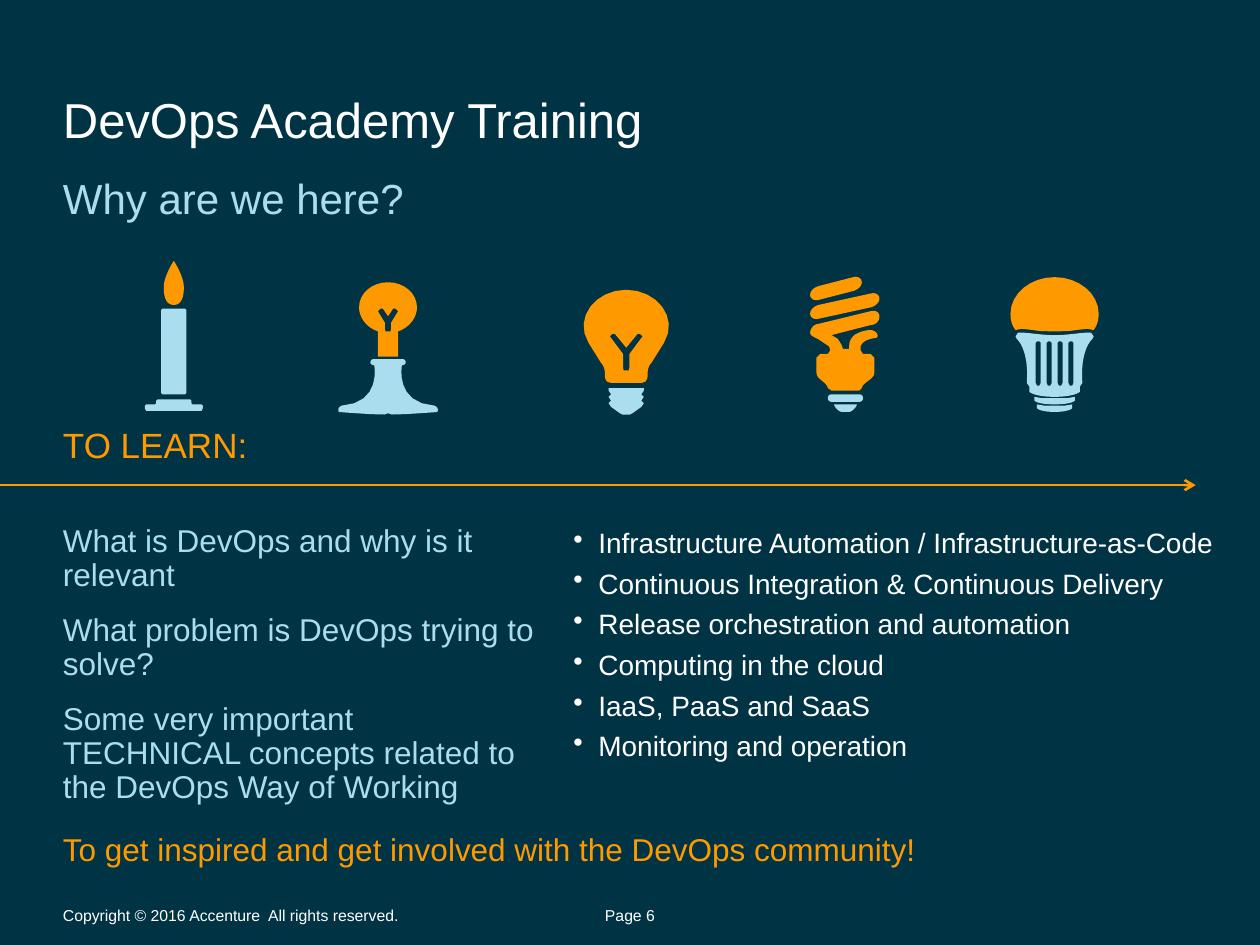
from lxml import etree
from pptx import Presentation
from pptx.dml.color import RGBColor
from pptx.enum.shapes import MSO_CONNECTOR
from pptx.enum.text import MSO_ANCHOR, PP_ALIGN
from pptx.oxml.ns import qn
from pptx.util import Inches, Pt

TOP, MIDDLE, BOTTOM = MSO_ANCHOR.TOP, MSO_ANCHOR.MIDDLE, MSO_ANCHOR.BOTTOM
LEFT, CENTER = PP_ALIGN.LEFT, PP_ALIGN.CENTER
STRAIGHT = MSO_CONNECTOR.STRAIGHT
NAVY, WHITE, SKY, ORANGE = "003344", "FFFFFF", "AADDEE", "FF9900"
CURVE_STEPS = 8

QUESTIONS = [
    "What is DevOps and why is it relevant",
    "What problem is DevOps trying to solve?",
    "Some very important \vTECHNICAL concepts related to the DevOps Way of Working",
]
TOPICS = [
    "Infrastructure Automation / Infrastructure-as-Code",
    "Continuous Integration & Continuous Delivery",
    "Release orchestration and automation",
    "Computing in the cloud",
    "IaaS, PaaS and SaaS",
    "Monitoring and operation",
]


def rgb(color):
    return RGBColor.from_string(color)


def add_bullet(para):
    properties = para._p.get_or_add_pPr()
    properties.set("marL", str(Inches(0.2)))
    properties.set("indent", str(-Inches(0.2)))
    etree.SubElement(properties, qn("a:buChar")).set("char", "•")


def add_text(slide, place, lines, size, color, anchor=TOP, align=LEFT,
             inset=0, spacing=1, after=0, bullet=False):
    box = slide.shapes.add_textbox(*map(Inches, place))
    frame = box.text_frame
    frame.word_wrap = True
    frame.vertical_anchor = anchor
    frame.margin_left = frame.margin_right = 0
    frame.margin_top = frame.margin_bottom = Inches(inset)
    for index, line in enumerate(lines):
        para = frame.add_paragraph() if index else frame.paragraphs[0]
        para.text = line
        if bullet:
            add_bullet(para)
        para.alignment = align
        para.line_spacing = spacing
        para.space_after = Pt(after)
        para.font.name = "Arial"
        para.font.size = Pt(size)
        para.font.color.rgb = rgb(color)


def add_arrow(slide, left, right, y):
    arrow = slide.shapes.add_connector(
        STRAIGHT, Inches(left), Inches(y), Inches(right), Inches(y))
    arrow.line.color.rgb = rgb(ORANGE)
    arrow.line.width = Pt(1.5)
    etree.SubElement(arrow.line._get_or_add_ln(), qn("a:tailEnd")).set("type", "arrow")
    etree.SubElement(arrow._element.spPr, qn("a:effectLst"))


def trace(segments):
    """Turn (x, y) lines and six-number Bezier segments into points."""
    points = []
    for segment in segments:
        if len(segment) == 2:
            points.append(segment)
            continue
        x0, y0 = points[-1]
        x1, y1, x2, y2, x3, y3 = segment
        for step in range(1, CURVE_STEPS + 1):
            t = step / CURVE_STEPS
            a, b, c, d = (1 - t) ** 3, 3 * t * (1 - t) ** 2, 3 * t * t * (1 - t), t ** 3
            points.append((a * x0 + b * x1 + c * x2 + d * x3,
                           a * y0 + b * y1 + c * y2 + d * y3))
    return points


def mirrored(center, right_half):
    """Close a right half, given as offsets from the center line."""
    half = trace(right_half)
    return ([(center + x, y) for x, y in half]
            + [(center - x, y) for x, y in reversed(half)])


def add_outline(group, color, outline, *holes):
    builder = None
    for contour in (outline, *holes):
        points = [(Inches(x), Inches(y)) for x, y in contour]
        if builder is None:
            builder = group.shapes.build_freeform(*points[0], scale=1.0)
        else:
            builder.move_to(*points[0])
        builder.add_line_segments(points[1:], close=True)
    shape = builder.convert_to_shape()
    shape.shadow.inherit = False
    shape.fill.solid()
    shape.fill.fore_color.rgb = rgb(color)
    shape.line.fill.background()


def filament(center, top, joint, bottom, reach):
    """Y-shaped hole in a glass bulb."""
    return mirrored(center, [
        (0, joint - 0.05), (reach - 0.04, top), (reach - 0.02, top), (reach, top + 0.02),
        (0.025, joint), (0.025, bottom - 0.02), (0.02, bottom), (0, bottom)])


def slot(left):
    return mirrored(left + 0.02, [
        (0, 2.71), (0.01, 2.71), (0.02, 2.72), (0.02, 3.04), (0.01, 3.06), (0, 3.06)])


def coil(right, right_bottom, left_bottom):
    """Slanted tube with round ends."""
    a, b = right_bottom, left_bottom
    return trace([
        (6.5, b), (right, a),
        (right + 0.04, a - 0.01, right + 0.07, a - 0.04, right + 0.07, a - 0.07),
        (right + 0.07, a - 0.1, right + 0.04, a - 0.12, right, a - 0.11),
        (6.5, b - 0.11), (6.46, b - 0.1, 6.43, b - 0.07, 6.43, b - 0.04),
        (6.43, b - 0.01, 6.46, b + 0.01, 6.5, b)])


def led_ring(center, top, reach):
    return mirrored(center, [
        (0, top + 0.01), (reach - 0.06, top + 0.01), (reach, top), (reach, top + 0.03),
        (reach, top + 0.03, reach - 0.02, top + 0.06, 0, top + 0.06)])


def draw_candle(group, center):
    add_outline(group, SKY, mirrored(center, [
        (0, 2.45), (0.09, 2.45), (0.1, 2.46), (0.1, 3.12), (0.09, 3.13), (0, 3.13)]))
    add_outline(group, SKY, mirrored(center, [
        (0, 3.17), (0.13, 3.17), (0.14, 3.18), (0.14, 3.2), (0.15, 3.21), (0.22, 3.21),
        (0.23, 3.22), (0.23, 3.24), (0.22, 3.26), (0, 3.26)]))
    add_outline(group, ORANGE, mirrored(center, [
        (0, 2.07), (0, 2.07, 0.08, 2.19, 0.08, 2.28), (0.08, 2.38, 0.05, 2.42, 0, 2.42)]))


def draw_lamp(group, center):
    add_outline(group, SKY, mirrored(center, [
        (0, 2.85), (0.11, 2.85), (0.13, 2.85, 0.14, 2.86, 0.14, 2.88),
        (0.14, 2.89, 0.12, 2.9, 0.11, 2.9), (0.11, 2.9, 0.05, 3.2, 0.37, 3.22),
        (0.41, 3.24, 0.39, 3.27, 0.39, 3.27), (0.39, 3.27, 0.15, 3.29, 0.03, 3.29),
        (0, 3.28)]))
    add_outline(group, ORANGE, mirrored(center, [
        (0, 2.24), (0.13, 2.24, 0.23, 2.33, 0.23, 2.44),
        (0.23, 2.52, 0.17, 2.6, 0.08, 2.63), (0.08, 2.83), (0, 2.83)]),
        filament(center, 2.45, 2.56, 2.63, 0.08))


def draw_bulb(group, center):
    add_outline(group, SKY, mirrored(center, [
        (0, 3.08), (0.14, 3.08), (0.14, 3.1), (0.12, 3.13), (0.14, 3.15), (0.12, 3.18),
        (0.14, 3.2), (0.12, 3.23), (0.05, 3.28), (0.03, 3.29), (0, 3.29)]))
    add_outline(group, ORANGE, mirrored(center, [
        (0, 2.3), (0.24, 2.3, 0.42, 2.52, 0.3, 2.72), (0.2, 2.88),
        (0.18, 2.9, 0.17, 2.93, 0.17, 2.96), (0.17, 2.99, 0.17, 3.01, 0.15, 3.03),
        (0.12, 3.04), (0, 3.04)]), filament(center, 2.65, 2.81, 2.94, 0.13))


def draw_spiral(group, center):
    add_outline(group, SKY, mirrored(center, [
        (0, 3.21), (0.09, 3.21), (0.09, 3.23, 0.05, 3.27, 0.03, 3.27), (0, 3.27)]))
    add_outline(group, SKY, mirrored(center, [
        (0, 3.13), (0.11, 3.13), (0.15, 3.13, 0.15, 3.19, 0.11, 3.19), (0, 3.19)]))
    add_outline(group, ORANGE, coil(6.77, 2.31, 2.38))
    add_outline(group, ORANGE, trace([
        (6.98, 2.51), (6.98, 2.48, 6.95, 2.46, 6.91, 2.47), (6.5, 2.57),
        (6.46, 2.57, 6.43, 2.61, 6.43, 2.64), (6.43, 2.66, 6.45, 2.67, 6.47, 2.68),
        (6.49, 2.69), (6.55, 2.73), (6.58, 2.75), (6.59, 2.78), (6.57, 2.81), (6.51, 2.81),
        (6.48, 2.84), (6.48, 2.96), (6.48, 3.01, 6.57, 3.04, 6.57, 3.08), (6.6, 3.1),
        (6.82, 3.1), (6.84, 3.08), (6.84, 3.04, 6.94, 3.01, 6.94, 2.96), (6.94, 2.84),
        (6.91, 2.81), (6.85, 2.81), (6.83, 2.78), (6.83, 2.75),
        (6.84, 2.72, 6.87, 2.7, 6.91, 2.69), (6.96, 2.68),
        (6.98, 2.65, 6.94, 2.62, 6.91, 2.62), (6.86, 2.62, 6.81, 2.64, 6.78, 2.66),
        (6.74, 2.7, 6.74, 2.72, 6.74, 2.77), (6.69, 2.77), (6.68, 2.74),
        (6.65, 2.69), (6.6, 2.66), (6.91, 2.58), (6.95, 2.58, 6.98, 2.55, 6.98, 2.51)]))
    add_outline(group, ORANGE, coil(6.91, 2.44, 2.53))


def draw_led(group, center):
    add_outline(group, ORANGE, mirrored(center, [
        (0, 2.2), (0.19, 2.2, 0.35, 2.33, 0.35, 2.49), (0.35, 2.54, 0.34, 2.58, 0.31, 2.62),
        (0.26, 2.61), (0.17, 2.62), (0.12, 2.63, 0.06, 2.63, 0, 2.63)]))
    add_outline(group, SKY, led_ring(center, 3.15, 0.16))
    add_outline(group, SKY, led_ring(center, 3.21, 0.14))
    add_outline(group, SKY, mirrored(center, [
        (0, 2.66), (0.11, 2.66, 0.2, 2.64, 0.26, 2.64), (0.29, 2.64), (0.31, 2.67),
        (0.3, 2.69), (0.3, 2.69, 0.2, 2.77, 0.22, 3.04), (0.2, 3.07), (0.2, 3.11),
        (0.2, 3.11, 0.16, 3.15, 0, 3.15)]),
        *(slot(center - 0.15 + 0.26 / 3 * index) for index in range(4)))


def main():
    deck = Presentation()
    deck.slide_width, deck.slide_height = Inches(10), Inches(7.5)
    slide = deck.slides.add_slide(deck.slide_layouts[6])
    slide.background.fill.solid()
    slide.background.fill.fore_color.rgb = rgb(NAVY)

    add_text(slide, (0.5, 0.13, 9, 1.1), ["DevOps Academy Training"], 28, WHITE,
             anchor=BOTTOM, inset=0.05)
    add_text(slide, (0.5, 1.32, 9, 0.43), ["Why are we here?"], 24, SKY, inset=0.05)
    add_text(slide, (0.5, 7.19, 3.94, 0.14),
             ["Copyright © 2016 Accenture  All rights reserved."], 9, WHITE, anchor=MIDDLE)
    add_text(slide, (0.5, 4.17, 3.94, 2.64), QUESTIONS, 18, SKY, spacing=0.9, after=12)
    add_text(slide, (4.55, 4.2, 5.27, 1.87), TOPICS, 16, WHITE,
             spacing=0.9, after=6, bullet=True)

    for draw, center in ((draw_spiral, 6.71), (draw_bulb, 4.97), (draw_candle, 1.38),
                         (draw_lamp, 3.08), (draw_led, 8.37)):
        draw(slide.shapes.add_group_shape(), center)

    add_arrow(slide, 0, 9.49, 3.85)
    add_text(slide, (0.5, 3.4, 2.84, 0.22), ["TO LEARN:"], 20, ORANGE, spacing=0.9)
    add_text(slide, (4.7, 7.19, 0.6, 0.14), ["Page 6"], 9, WHITE, anchor=MIDDLE, align=CENTER)
    add_text(slide, (0.5, 6.62, 9.3, 0.58),
             ["To get inspired and get involved with the DevOps community!"],
             18, ORANGE, spacing=0.9)
    deck.save("out.pptx")


if __name__ == "__main__":
    main()
